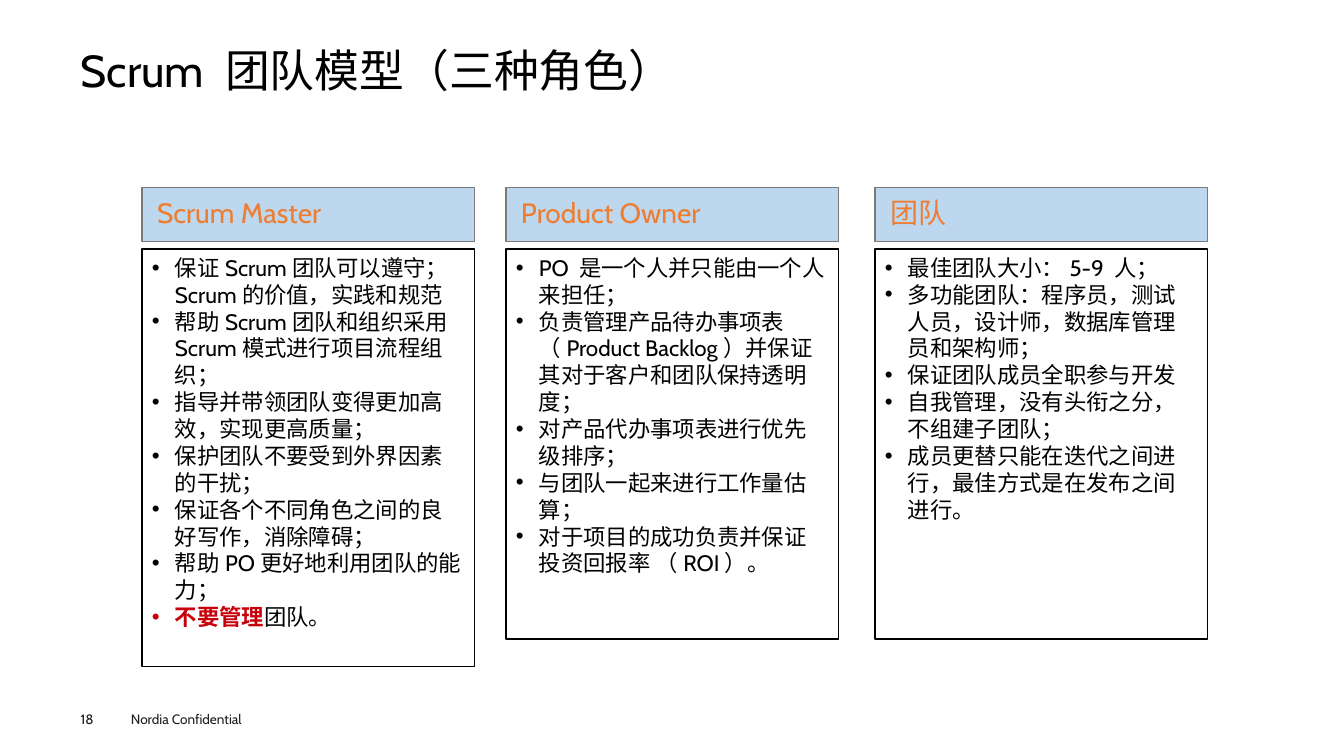
from dataclasses import dataclass

from pptx import Presentation
from pptx.dml.color import RGBColor
from pptx.enum import shapes, text
from pptx.oxml.ns import qn
from pptx.util import Cm, Pt
from lxml import etree


@dataclass(frozen=True)
class Theme:
    font: str = "Cabin"
    ink: str = "000000"
    paper: str = "FFFFFF"
    band: str = "BDD7EE"
    edge: str = "7A7A7A"
    head: str = "ED7D31"
    alert: str = "C7000B"
    foot: str = "1D1D1B"
    title_pt: float = 32
    head_pt: float = 20
    body_pt: float = 16
    foot_pt: float = 9.7


THEME = Theme()

# Left edge, list height, role, and list items as (text, stressed) runs
ROLES = [
    (3.58, 10.52, "Scrum Master", [
        [("保证Scrum团队可以遵守；Scrum的价值，实践和规范", False)],
        [("帮助Scrum团队和组织采用Scrum模式进行项目流程组织；", False)],
        [("指导并带领团队变得更加高效，实现更高质量；", False)],
        [("保护团队不要受到外界因素的干扰；", False)],
        [("保证各个不同角色之间的良好写作，消除障碍；", False)],
        [("帮助PO更好地利用团队的能力；", False)],
        [("不要管理", True), ("团队。", False)],
    ]),
    (12.75, 9.83, "Product Owner", [
        [("PO 是一个人并只能由一个人来担任；", False)],
        [("负责管理产品待办事项表（Product Backlog）并保证其对于客户和团队保持透明度；", False)],
        [("对产品代办事项表进行优先级排序；", False)],
        [("与团队一起来进行工作量估算；", False)],
        [("对于项目的成功负责并保证投资回报率 （ROI）。", False)],
    ]),
    (22.05, 9.83, "团队", [
        [("最佳团队大小：5-9 人；", False)],
        [("多功能团队：程序员，测试人员，设计师，数据库管理员和架构师；", False)],
        [("保证团队成员全职参与开发", False)],
        [("自我管理，没有头衔之分，不组建子团队；", False)],
        [("成员更替只能在迭代之间进行，最佳方式是在发布之间进行。", False)],
    ]),
]


def place(shape, box):
    shape.left, shape.top, shape.width, shape.height = map(Cm, box)


def paint(shape, fill, line):
    shape.fill.solid()
    shape.fill.fore_color.rgb = RGBColor.from_string(fill)
    shape.line.color.rgb = RGBColor.from_string(line)
    shape.line.width = Pt(1)


def frame(shape, side, edge, anchor=text.MSO_ANCHOR.TOP):
    body = shape.text_frame
    body.word_wrap = True
    body.auto_size = text.MSO_AUTO_SIZE.NONE
    body.vertical_anchor = anchor
    body.margin_left = body.margin_right = Cm(side)
    body.margin_top = body.margin_bottom = Cm(edge)
    return body


def write(para, words, size, color, bold=False):
    para.alignment = text.PP_ALIGN.LEFT
    run = para.add_run()
    run.text = words
    run.font.name = THEME.font
    run.font.size = Pt(size)
    run.font.bold = bold
    run.font.color.rgb = RGBColor.from_string(color)


def bullet(para):
    props = para._p.get_or_add_pPr()
    props.set("marL", str(Cm(0.58)))
    props.set("indent", str(-Cm(0.58)))
    etree.SubElement(props, qn("a:buFont")).set("typeface", "Arial")
    etree.SubElement(props, qn("a:buChar")).set("char", "•")


def heading(slide, box):
    title = slide.shapes.title
    place(title, box)
    para = frame(title, 0, 0).paragraphs[0]
    para.line_spacing = 0.9
    write(para, "Scrum 团队模型（三种角色）", THEME.title_pt, THEME.ink)


def column(slide, holder, box, role, items):
    left, top, width, height = box
    band, gap = 1.37, 0.18

    # Role header
    head = slide.shapes.add_shape(shapes.MSO_SHAPE.RECTANGLE,
                                  Cm(left), Cm(top), Cm(width), Cm(band))
    head.shadow.inherit = False
    paint(head, THEME.band, THEME.edge)
    para = frame(head, 0.38, 0.3, text.MSO_ANCHOR.MIDDLE).paragraphs[0]
    para.line_spacing = 0.9
    write(para, role, THEME.head_pt, THEME.head)

    # Duty list
    drop = band + gap
    place(holder, (left, top + drop, width, height - drop))
    paint(holder, THEME.paper, THEME.ink)
    body = frame(holder, 0.25, 0.13)
    for i, runs in enumerate(items):
        para = body.add_paragraph() if i else body.paragraphs[0]
        para.space_before = Pt(0)
        bullet(para)
        for words, stress in runs:
            color = THEME.alert if stress else THEME.ink
            write(para, words, THEME.body_pt, color, stress)


def footer(slide, box):
    left, top, width, height = box
    for words, dx, wide in (("18", 0, 1.4), ("Nordia Confidential", 1.27, width - 1.27)):
        note = slide.shapes.add_textbox(Cm(left + dx), Cm(top), Cm(wide), Cm(height))
        body = frame(note, 0, 0, text.MSO_ANCHOR.MIDDLE)
        write(body.paragraphs[0], words, THEME.foot_pt, THEME.foot)


def main():
    deck = Presentation()
    deck.slide_width, deck.slide_height = Cm(33.87), Cm(19.05)
    slide = deck.slides.add_slide(deck.slide_layouts.get_by_name("Comparison"))
    heading(slide, (2.03, 1.24, 29.8, 1.37))

    # Three role columns; the layout's fourth body is spare
    *lists, spare = list(slide.placeholders)[1:]
    spare.element.getparent().remove(spare.element)
    for holder, (left, tall, role, items) in zip(lists, ROLES):
        column(slide, holder, (left, 4.72, 8.38, tall + 1.55), role, items)

    footer(slide, (2.03, 17.78, 6, 0.7))
    deck.save("out.pptx")


if __name__ == "__main__":
    main()
